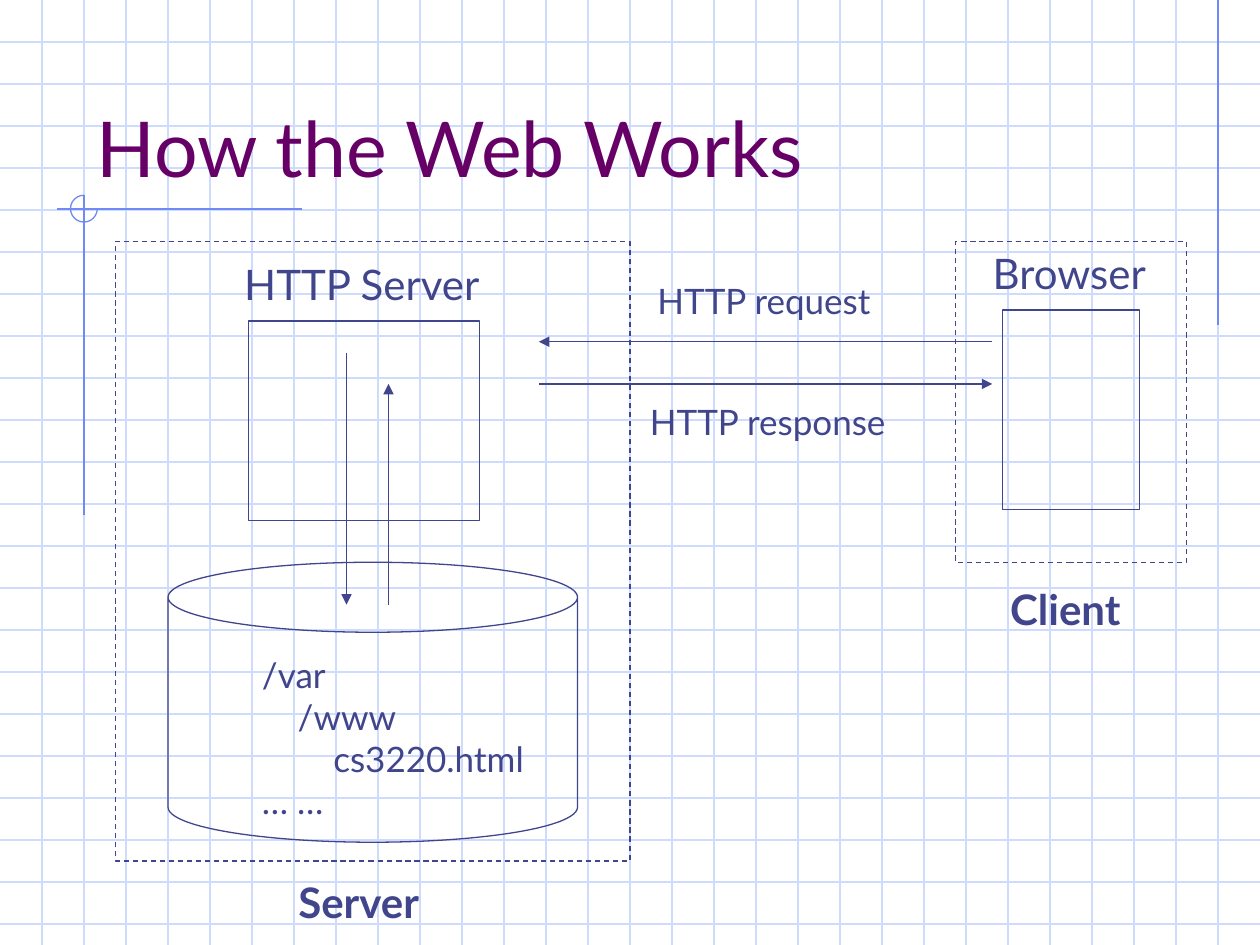
import pptx
import pptx.util
import pptx.dml.color
import pptx.enum.dml
import pptx.enum.shapes
import pptx.enum.text
import pptx.oxml.ns
import lxml.etree

Pt = pptx.util.Pt
Kind = pptx.enum.shapes.MSO_SHAPE
WIDTH, HEIGHT, STEP = 720, 540, 24
FONT = "Lato"
GRID, TRIM, INK, PLUM = "CFDBFD", "6F89F7", "40458C", "660066"

TRIMS = [
    (696, 0, 696, 186),
    (172.8, 119.4, 32.4, 119.4),
    (48, 111.6, 48, 294.5),
]
ARC = (40.3, 111.6, 15.3, 15.3)

BOXES = [
    (Kind.RECTANGLE, (573, 177.2, 78, 113.8), False),
    (Kind.RECTANGLE, (142, 183.4, 132, 114), False),
    (Kind.CAN, (96, 321.3, 234, 160), False),
    (Kind.RECTANGLE, (66, 138, 294, 354), True),
    (Kind.RECTANGLE, (546, 138, 132, 183.5), True),
]
ARROWS = [
    (567, 195.3, 308, 195.3),
    (308, 219.4, 567, 219.4),
    (198, 201.5, 198, 345.5),
    (222, 345.5, 222, 219.4),
]
LABELS = [
    ("Browser", (560.2, 138.2, 108, 36), 24, False),
    ("HTTP Server", (132.5, 144, 152, 36), 24, False),
    ("HTTP request", (368.6, 156.2, 141, 31.7), 20, False),
    ("HTTP response", (364.3, 225.4, 155.5, 31.7), 20, False),
    ("Server", (163.4, 497.5, 91.4, 36), 24, True),
    ("Client", (570.2, 329.8, 84.2, 36), 24, True),
]
FILES = [("/var", 0), ("/www", 1), ("cs3220.html", 2), ("… …", 0)]
INDENT = 20.4


def color(code):
    return pptx.dml.color.RGBColor.from_string(code)


def pen(shape, code):
    shape.line.color.rgb = color(code)
    shape.line.width = Pt(0.75)


def add_line(slide, ends, code, arrow=False):
    line = slide.shapes.add_connector(
        pptx.enum.shapes.MSO_CONNECTOR.STRAIGHT, *map(Pt, ends))
    pen(line, code)
    name = pptx.oxml.ns.qn
    props = line._element.spPr
    if arrow:
        stroke = props.find(name("a:ln"))
        lxml.etree.SubElement(stroke, name("a:tailEnd"), type="triangle")
    lxml.etree.SubElement(props, name("a:effectLst"))


def add_box(slide, kind, area, code, dashed=False):
    box = slide.shapes.add_shape(kind, *map(Pt, area))
    box.shadow.inherit = False
    box.fill.background()
    pen(box, code)
    if dashed:
        box.line.dash_style = pptx.enum.dml.MSO_LINE.DASH
    return box


def add_text(slide, text, area, size, code=INK, bold=False):
    frame = slide.shapes.add_textbox(*map(Pt, area)).text_frame
    frame.word_wrap = True
    frame.text = text
    for para in frame.paragraphs:
        for run in para.runs:
            run.font.name = FONT
            run.font.size = Pt(size)
            run.font.bold = bold
            run.font.color.rgb = color(code)
    return frame


def main():
    deck = pptx.Presentation()
    deck.slide_width, deck.slide_height = Pt(WIDTH), Pt(HEIGHT)
    slide = deck.slides.add_slide(deck.slide_layouts[6])

    for y in range(STEP, HEIGHT, STEP):
        add_line(slide, (0, y, WIDTH, y), GRID)
    for x in range(STEP, WIDTH, STEP):
        add_line(slide, (x, 0, x, HEIGHT), GRID)
    for ends in TRIMS:
        add_line(slide, ends, TRIM)
    arc = add_box(slide, Kind.ARC, ARC, TRIM)
    arc.adjustments[0] = 0
    arc.adjustments[1] = 162

    title = add_text(slide, "How the Web Works", (48, 24, 612, 90), 44, PLUM)
    title.vertical_anchor = pptx.enum.text.MSO_ANCHOR.BOTTOM

    for kind, area, dashed in BOXES:
        add_box(slide, kind, area, INK, dashed)
    for ends in ARROWS:
        add_line(slide, ends, INK, True)
    for text, area, size, bold in LABELS:
        add_text(slide, text, area, size, bold=bold)

    tree = add_text(slide, "\n".join(name for name, _ in FILES),
                    (142.6, 370, 170, 103.7), 20)
    for para, (_, level) in zip(tree.paragraphs, FILES):
        para._p.get_or_add_pPr().set("marL", str(int(Pt(level * INDENT))))

    deck.save("out.pptx")


if __name__ == "__main__":
    main()
